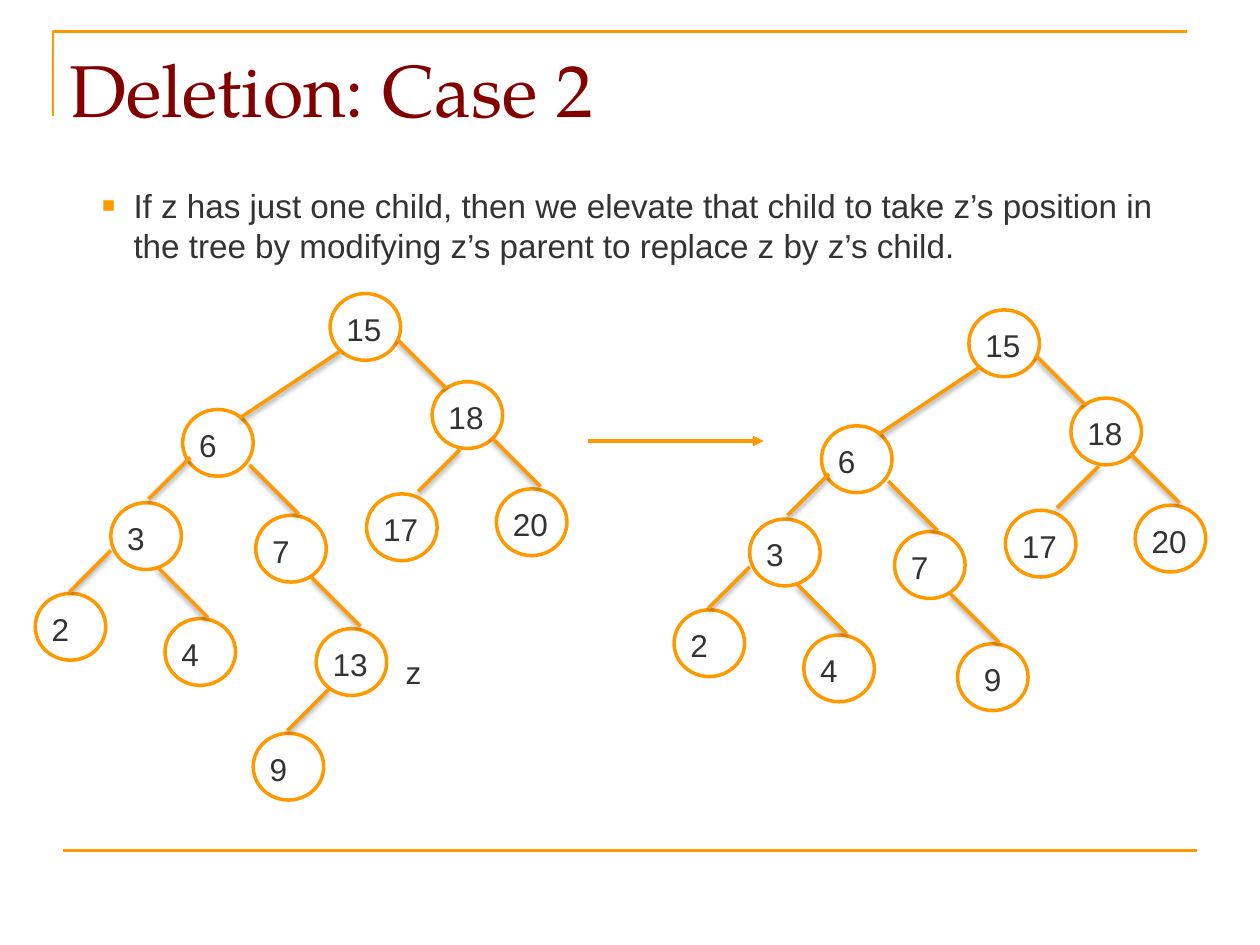
import pptx
import pptx.util
import pptx.dml.color
import pptx.enum.shapes
import pptx.enum.text
import pptx.oxml
import pptx.oxml.ns
import lxml.etree

Inches = pptx.util.Inches
Pt = pptx.util.Pt
COLORS = {"accent": "FF9900", "title": "820000", "text": "333333", "node": "FFFFFF", "shadow": "000000"}
NODE_WIDTH, NODE_HEIGHT = 0.56, 0.53
LEFT_EDGE = (0.33, -0.33)
RIGHT_EDGE = (-0.39, -0.39)

# label, position in the tree, edge start within the node, edge reach to the parent
SHARED_NODES = [
    ("15", (2.34, 0), None, None),
    ("6", (1.17, 0.92), (0.45, 0.07), (0.81, -0.54)),
    ("18", (3.15, 0.7), (0.11, 0.05), RIGHT_EDGE),
    ("3", (0.6, 1.66), (0.3, -0.03), LEFT_EDGE),
    ("7", (1.75, 1.76), (0.34, -0.01), RIGHT_EDGE),
    ("17", (2.63, 1.59), (0.41, -0.02), LEFT_EDGE),
    ("20", (3.66, 1.55), (0.35, -0.02), RIGHT_EDGE),
    ("2", (0, 2.38), (0.27, -0.01), LEFT_EDGE),
    ("4", (1.03, 2.58), (0.34, -0.01), RIGHT_EDGE),
]
BEFORE_NODES = SHARED_NODES + [
    ("13", (2.23, 2.66), (0.35, -0.02), RIGHT_EDGE),
    ("9", (1.73, 3.49), (0.27, -0.02), LEFT_EDGE),
]
AFTER_NODES = SHARED_NODES + [("9", (2.25, 2.65), (0.33, -0.01), RIGHT_EDGE)]


def rgb(name):
    return pptx.dml.color.RGBColor.from_string(COLORS[name])


def style_line(shape, width):
    shape.line.color.rgb = rgb("accent")
    shape.line.width = Pt(width)


def style_text(text_frame, size, font, color):
    text_frame.margin_left = text_frame.margin_right = Inches(0.05)
    text_frame.margin_top = text_frame.margin_bottom = Inches(0.05)
    for paragraph in text_frame.paragraphs:
        for run in paragraph.runs:
            run.font.size = Pt(size)
            run.font.name = font
            run.font.color.rgb = rgb(color)


def place(shape, left, top, width, height):
    shape.left, shape.top = Inches(left), Inches(top)
    shape.width, shape.height = Inches(width), Inches(height)


def add_line(shapes, start, end, width, shadow=False):
    line = shapes.add_connector(
        pptx.enum.shapes.MSO_CONNECTOR.STRAIGHT, *(Inches(value) for value in start + end))
    style_line(line, width)
    effects = lxml.etree.SubElement(line._element.spPr, pptx.oxml.ns.qn("a:effectLst"))
    if shadow:
        effects.append(pptx.oxml.parse_xml(
            f'<a:outerShdw {pptx.oxml.ns.nsdecls("a")} blurRad="{Pt(3)}" dist="{Pt(1.6)}" '
            f'dir="5400000" rotWithShape="0"><a:srgbClr val="{COLORS["shadow"]}">'
            '<a:alpha val="38000"/></a:srgbClr></a:outerShdw>'))
    return line


def add_label(shapes, text, left, top, width, height, wrap=True):
    label = shapes.add_textbox(Inches(left), Inches(top), Inches(width), Inches(height))
    label.text_frame.text = text
    label.text_frame.word_wrap = wrap
    style_text(label.text_frame, 18, "Arial", "text")


def add_node(shapes, label, left, top, inset):
    node = shapes.add_shape(pptx.enum.shapes.MSO_SHAPE.OVAL, Inches(left), Inches(top),
                            Inches(NODE_WIDTH), Inches(NODE_HEIGHT))
    node.shadow.inherit = False
    node.fill.solid()
    node.fill.fore_color.rgb = rgb("node")
    style_line(node, 2)
    add_label(shapes, label, left + inset, top + 0.08, 0.4, 0.38)


def add_tree(slide, left, top, nodes, last_inset=0.08):
    shapes = slide.shapes.add_group_shape().shapes
    for node in nodes:
        label, (x, y), start, reach = node
        node_left, node_top = left + x, top + y
        add_node(shapes, label, node_left, node_top, last_inset if node is nodes[-1] else 0.08)
        if start:
            edge_start = (node_left + start[0], node_top + start[1])
            edge_end = (edge_start[0] + reach[0], edge_start[1] + reach[1])
            add_line(shapes, edge_start, edge_end, 2, shadow=True)


def add_frame(slide, left, top, width, height):
    builder = slide.shapes.build_freeform(Inches(left), Inches(top + 0.67))
    builder.add_line_segments(
        [(Inches(left), Inches(top)), (Inches(left + width), Inches(top))], close=False)
    corner = builder.convert_to_shape()
    corner.shadow.inherit = False
    corner.fill.background()
    style_line(corner, 1.5)
    bottom = top + height
    add_line(slide.shapes, (left + 0.08, bottom), (left + 0.08 + width, bottom), 1.5)


def fill_title(slide, left, top, width, height):
    title = slide.shapes.title
    place(title, left, top, width, height)
    title.text_frame.text = "Deletion: Case 2"
    title.text_frame.vertical_anchor = pptx.enum.text.MSO_ANCHOR.TOP
    title.text_frame.paragraphs[0].alignment = pptx.enum.text.PP_ALIGN.LEFT
    style_text(title.text_frame, 42, "TeX Gyre Pagella", "title")


def fill_body(slide, left, top, width, height):
    body = slide.placeholders[1]
    place(body, left, top, width, height)
    body.text_frame.text = (
        "If z has just one child, then we elevate that child to take z’s position in "
        "the tree by modifying z’s parent to replace z by z’s child.")
    body.text_frame.auto_size = pptx.enum.text.MSO_AUTO_SIZE.NONE
    style_text(body.text_frame, 19, "Arial", "text")
    paragraph = body.text_frame.paragraphs[0]
    paragraph.level = 1
    paragraph.space_before = Pt(4)
    properties = paragraph._p.get_or_add_pPr()
    properties.set("marL", str(Inches(0.51)))
    properties.set("indent", str(Inches(-0.25)))
    namespace = pptx.oxml.ns.nsdecls("a")
    for bullet in (
            f'<a:buClr {namespace}><a:srgbClr val="{COLORS["accent"]}"/></a:buClr>',
            f'<a:buSzPct {namespace} val="65000"/>',
            f'<a:buFont {namespace} typeface="Arial"/>',
            f'<a:buChar {namespace} char="■"/>'):
        properties.append(pptx.oxml.parse_xml(bullet))


def add_step_arrow(slide, left, top, width):
    arrow = add_line(slide.shapes, (left, top), (left + width, top), 2)
    outline = arrow.line._get_or_add_ln()
    lxml.etree.SubElement(outline, pptx.oxml.ns.qn("a:tailEnd"), type="triangle")


presentation = pptx.Presentation()
presentation.slide_width, presentation.slide_height = Inches(10), Inches(7.5)
slide = presentation.slides.add_slide(presentation.slide_layouts[1])
add_frame(slide, 0.42, 0.25, 9, 6.5)
fill_title(slide, 0.5, 0.3, 9, 1.03)
fill_body(slide, 0.5, 1.42, 8.82, 0.78)
add_tree(slide, 0.28, 2.33, BEFORE_NODES)
add_tree(slide, 5.35, 2.46, AFTER_NODES, last_inset=0.16)
add_step_arrow(slide, 4.67, 3.5, 1.39)
add_label(slide.shapes, "z", 3.17, 5.13, 0.24, 0.41, wrap=False)
presentation.save("out.pptx")
